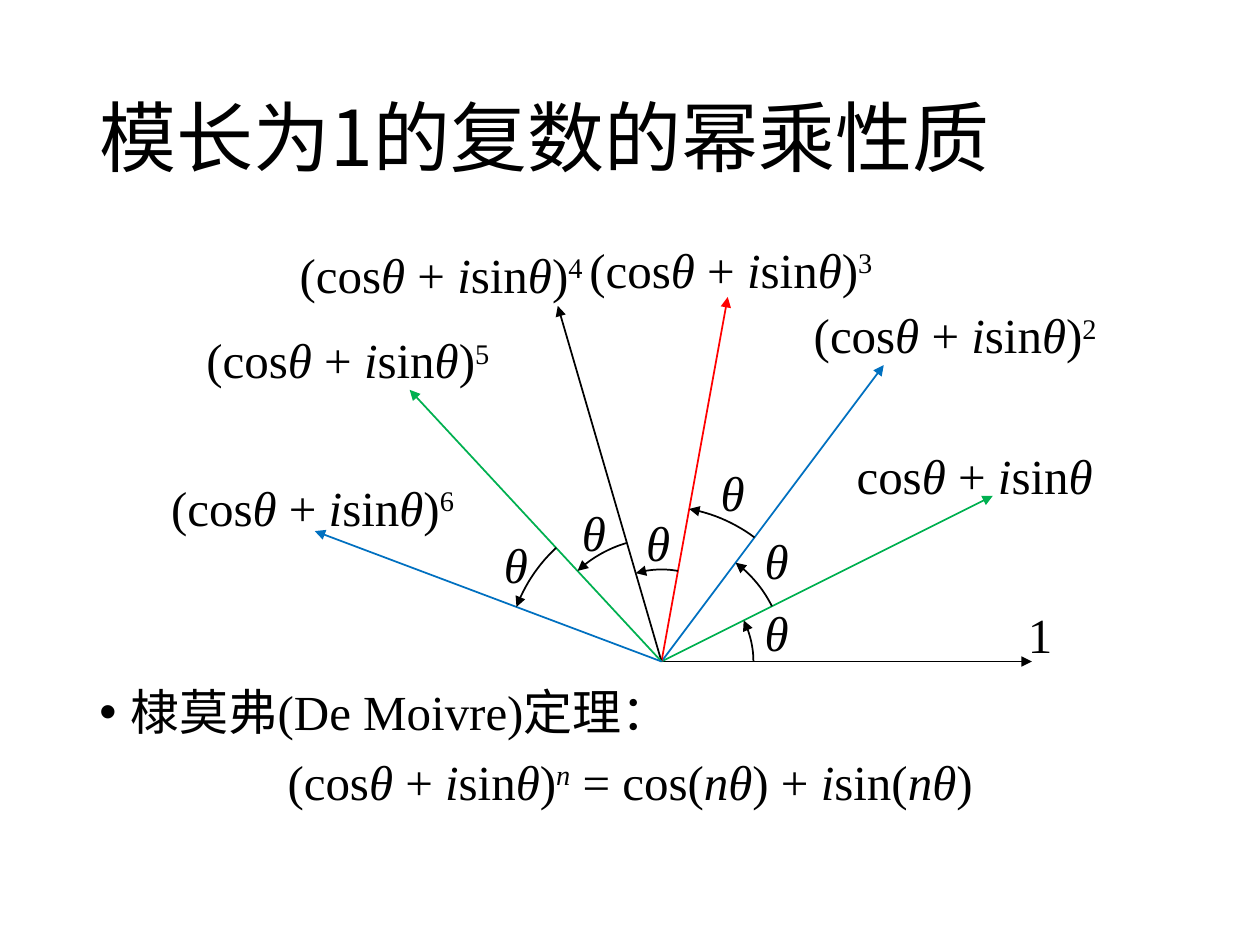
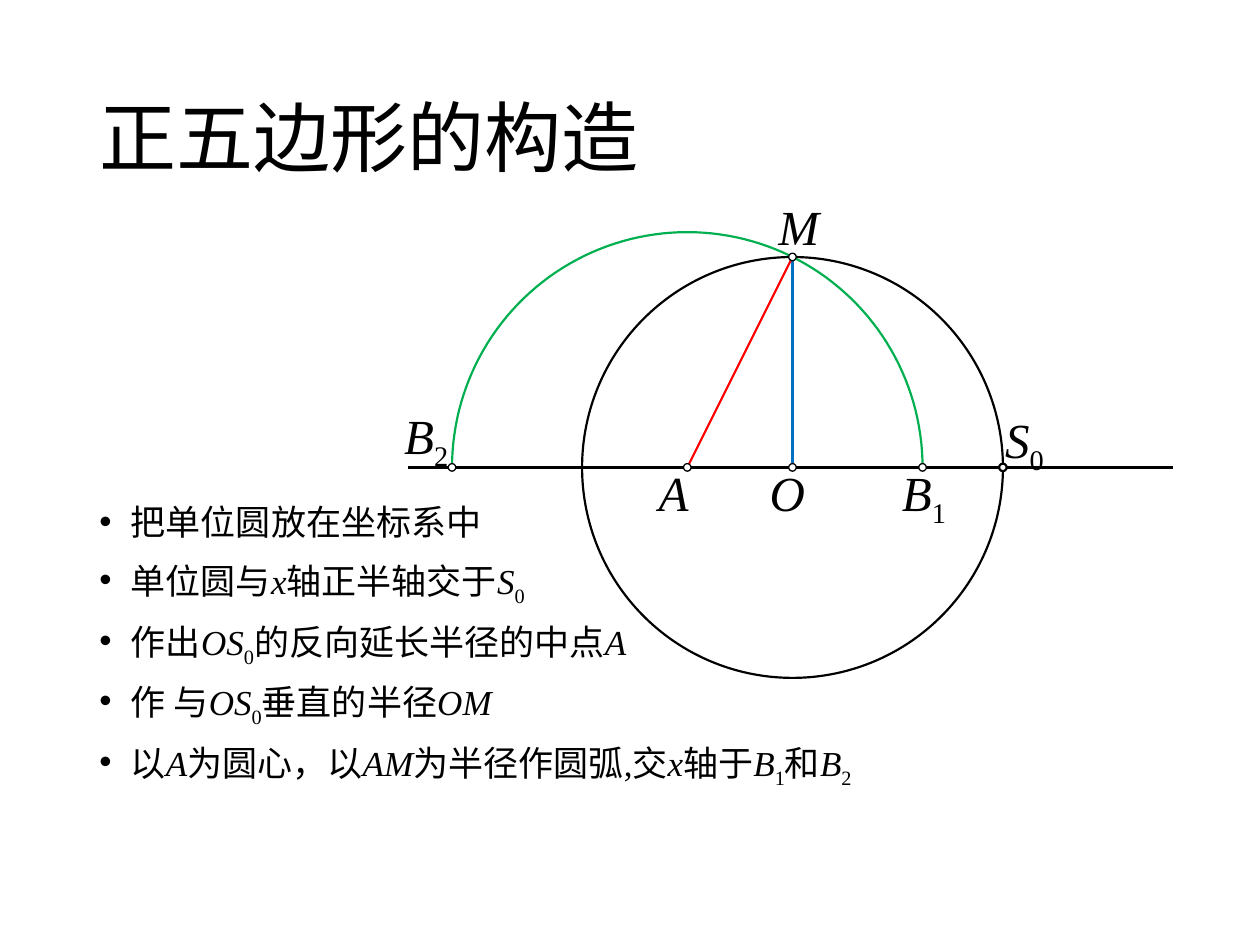
from math import atan, cos, degrees, hypot, radians, sin

from lxml.etree import SubElement
from pptx import Presentation
from pptx.dml.color import RGBColor
from pptx.enum.shapes import MSO_CONNECTOR as Connector, MSO_SHAPE as Shape
from pptx.enum.text import MSO_ANCHOR as Anchor, MSO_AUTO_SIZE as AutoSize, PP_ALIGN as Align
from pptx.oxml.ns import qn
from pptx.util import Inches, Pt

BLACK, WHITE, GREEN, BLUE, RED = "000000", "FFFFFF", "00B050", "0070C0", "FF0000"
SERIF, SANS = "Times New Roman", "Noto Sans CJK SC"
MARGIN, TEXT_WIDTH = 0.69, 8.62
LABEL_SIZE, LABEL_HEIGHT = 28, 0.57
LINE_SPACING, SPACE_BEFORE = 0.9, 10
BULLET_INDENT = 0.25
MARKS = {"*": "italic", "^": "superscript", "_": "subscript"}


def rgb(color):
    return RGBColor.from_string(color)


def inches(*lengths):
    return [Inches(length) for length in lengths]


def polar(center, radius, angle):
    """Point at an angle in degrees, counted counterclockwise from the x axis."""
    turn = radians(angle)
    return center[0] + radius * cos(turn), center[1] - radius * sin(turn)


# ---- text ----

def split_marks(markup):
    """Yield (text, active styles); *, ^ and _ each switch a style on or off."""
    active, piece = set(), ""
    for char in markup:
        if char not in MARKS:
            piece += char
            continue
        if piece:
            yield piece, set(active)
        active ^= {MARKS[char]}
        piece = ""
    if piece:
        yield piece, active


def write(paragraph, markup, size, latin=SERIF):
    for text, styles in split_marks(markup):
        run = paragraph.add_run()
        run.text = text
        font = run.font
        font.size, font.name, font.italic = Pt(size), latin, "italic" in styles
        font.color.rgb = rgb(BLACK)
        properties = run._r.get_or_add_rPr()
        SubElement(properties, qn("a:ea"), typeface=SANS)
        if "superscript" in styles:
            properties.set("baseline", "30000")
        if "subscript" in styles:
            properties.set("baseline", "-25000")


def text_frame(slide, left, top, width, height):
    frame = slide.shapes.add_textbox(*inches(left, top, width, height)).text_frame
    frame.word_wrap = True
    return frame


def add_title(slide, title):
    frame = text_frame(slide, MARGIN, 0.4, TEXT_WIDTH, 1.45)
    frame.vertical_anchor = Anchor.MIDDLE
    frame.paragraphs[0].line_spacing = LINE_SPACING
    write(frame.paragraphs[0], title, 44, SANS)


def add_bullet(paragraph):
    properties = paragraph._p.get_or_add_pPr()
    properties.set("marL", str(Inches(BULLET_INDENT)))
    properties.set("indent", str(-Inches(BULLET_INDENT)))
    SubElement(properties, qn("a:buFont"), typeface="Arial")
    SubElement(properties, qn("a:buChar"), char="•")


def add_body(slide, top, height, size, bullets, formula=None):
    """Bulleted lines, with an optional centred formula below them."""
    frame = text_frame(slide, MARGIN, top, TEXT_WIDTH, height)
    lines = bullets + ([formula] if formula else [])
    for index, line in enumerate(lines):
        paragraph = frame.add_paragraph() if index else frame.paragraphs[0]
        paragraph.line_spacing = LINE_SPACING
        paragraph.space_before = Pt(SPACE_BEFORE)
        if line is formula:
            paragraph.alignment = Align.CENTER
        else:
            add_bullet(paragraph)
        write(paragraph, line, size)


def add_label(slide, markup, left, top, width):
    frame = text_frame(slide, left, top, width, LABEL_HEIGHT)
    frame.word_wrap = False
    frame.auto_size = AutoSize.SHAPE_TO_FIT_TEXT
    write(frame.paragraphs[0], markup, LABEL_SIZE)


# ---- geometry ----

def style_line(drawn, color, weight, arrow=False):
    drawn.line.color.rgb = rgb(color)
    drawn.line.width = Pt(weight)
    if arrow:
        SubElement(drawn.line._get_or_add_ln(), qn("a:tailEnd"), type="triangle")


def add_segment(slide, start, end, color, weight, arrow=False):
    segment = slide.shapes.add_connector(Connector.STRAIGHT, *inches(*start, *end))
    style_line(segment, color, weight, arrow)
    SubElement(segment._element.spPr, qn("a:effectLst"))


def add_arc(slide, center, radius, first, last, color, weight, arrow=False):
    steps = max(12, round((last - first) / 2))
    points = [inches(*polar(center, radius, first + (last - first) * step / steps))
              for step in range(steps + 1)]
    builder = slide.shapes.build_freeform(*points[0])
    builder.add_line_segments(points[1:], close=False)
    arc = builder.convert_to_shape()
    arc.shadow.inherit = False
    arc.fill.background()
    style_line(arc, color, weight, arrow)


def add_circle(slide, center, radius, weight, fill=None):
    x, y = center
    circle = slide.shapes.add_shape(
        Shape.OVAL, *inches(x - radius, y - radius, 2 * radius, 2 * radius))
    circle.shadow.inherit = False
    if fill:
        circle.fill.solid()
        circle.fill.fore_color.rgb = rgb(fill)
    else:
        circle.fill.background()
    style_line(circle, BLACK, weight)


# ---- slides ----

def build_powers(slide):
    origin, ray_length, theta = (5.25, 5.25), 2.94, degrees(atan(0.5))
    ray_colors = [BLACK, GREEN, BLUE, RED]
    unit_number = "cos*θ* + *i*sin*θ*"
    power_places = {2: (6.36, 2.37), 3: (4.58, 1.85), 4: (2.28, 1.89),
                    5: (1.54, 2.57), 6: (1.26, 3.74)}
    theta_places = [(5.97, 4.73), (5.97, 4.16), (5.62, 3.62),
                    (5.03, 4.02), (4.52, 3.94), (3.9, 4.19)]

    add_title(slide, "模长为1的复数的幂乘性质")
    add_body(slide, 5.41, 1.34, 28, ["棣莫弗(De Moivre)定理："],
             f"({unit_number})^*n*^ = cos(*nθ*) + *i*sin(*nθ*)")
    for power in range(7):
        add_segment(slide, origin, polar(origin, ray_length, power * theta),
                    ray_colors[power % 4], 1, arrow=True)
    for turn, place in enumerate(theta_places):
        add_arc(slide, origin, 0.73 + 0.25 * (turn % 3), turn * theta,
                (turn + 1) * theta, BLACK, 1, arrow=True)
        add_label(slide, "*θ*", *place, 0.39)
    add_label(slide, "1", 8.06, 4.75, 0.4)
    add_label(slide, unit_number, 6.7, 3.49, 2.09)
    for power, place in power_places.items():
        add_label(slide, f"({unit_number})^{power}^", *place, 2.55)


def build_pentagon(slide):
    radius, axis = 1.67, 3.71
    center = o_x, _ = (6.29, axis)
    top_point = (o_x, axis - radius)
    midpoint = (o_x - radius / 2, axis)
    arc_radius = hypot(radius, radius / 2)
    b1, b2 = (polar(midpoint, arc_radius, angle) for angle in (0, 180))
    s0 = (o_x + radius, axis)

    add_title(slide, "正五边形的构造")
    add_body(slide, 3.96, 2.17, 20, [
        "把单位圆放在坐标系中",
        "单位圆与*x*轴正半轴交于*S*_0_",
        "作出*OS*_0_的反向延长半径的中点*A*",
        "作 与*OS*_0_垂直的半径*OM*",
        "以*A*为圆心，以*AM*为半径作圆弧,交*x*轴于*B*_1_和*B*_2_",
    ])
    add_circle(slide, center, radius, 1.25)
    add_arc(slide, midpoint, arc_radius, 0, 180, GREEN, 1.25)
    add_segment(slide, (9.31, axis), (3.24, axis), BLACK, 1.25)
    add_segment(slide, top_point, center, BLUE, 1.25)
    add_segment(slide, midpoint, top_point, RED, 1.25)
    add_circle(slide, s0, 0.03, 1.25, WHITE)
    for point in (midpoint, top_point, b2, b1, center):
        add_circle(slide, point, 0.03, 0.75, WHITE)
    for name, left, top, width in [
        ("*O*", 6.01, 3.62, 0.49), ("*A*", 5.13, 3.62, 0.44),
        ("*M*", 6.08, 1.51, 0.53), ("*B*_1_", 7.06, 3.62, 0.57),
        ("*B*_2_", 3.11, 3.17, 0.57), ("*S*_0_", 7.88, 3.2, 0.53),
    ]:
        add_label(slide, name, left, top, width)


def main():
    deck = Presentation()
    deck.slide_width, deck.slide_height = inches(10, 7.5)
    for build in (build_powers, build_pentagon):
        build(deck.slides.add_slide(deck.slide_layouts[6]))
    deck.save("out.pptx")


if __name__ == "__main__":
    main()
